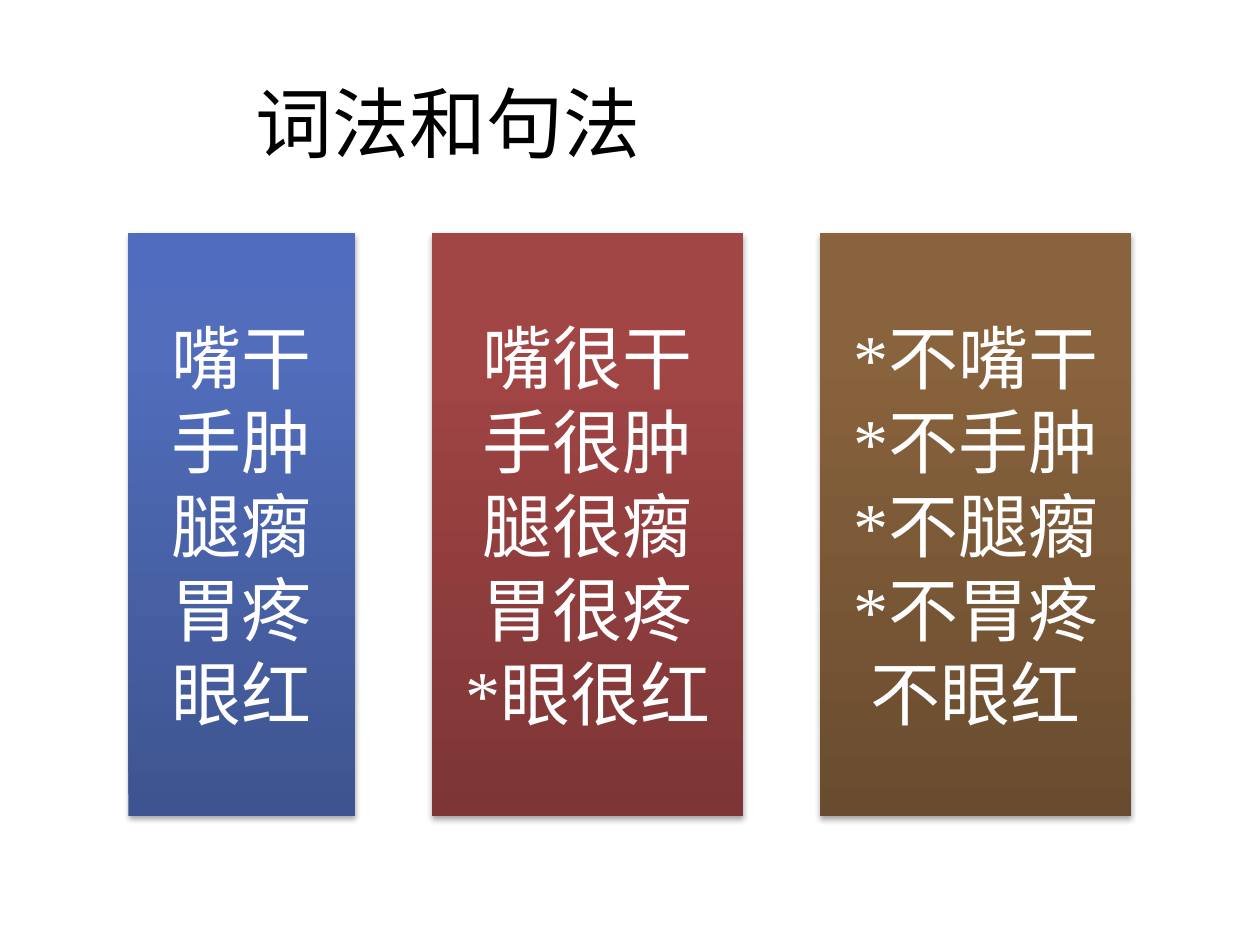
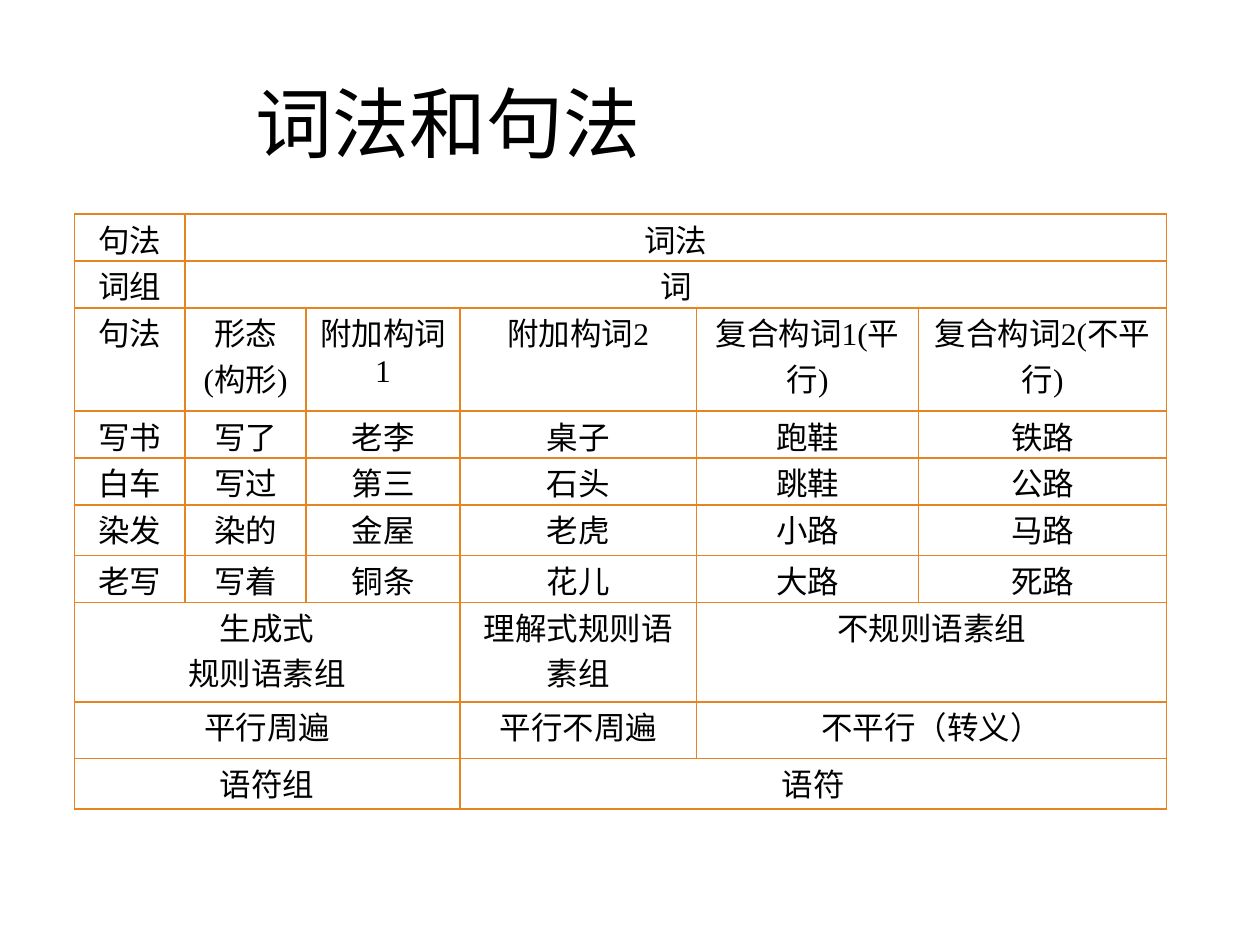
from lxml import etree
from pptx import Presentation
from pptx.dml.color import RGBColor
from pptx.enum.shapes import MSO_SHAPE
from pptx.enum.text import MSO_ANCHOR, MSO_AUTO_SIZE, PP_ALIGN
from pptx.oxml.ns import qn
from pptx.util import Inches, Pt

RECTANGLE = MSO_SHAPE.RECTANGLE
MIDDLE, BOTTOM = MSO_ANCHOR.MIDDLE, MSO_ANCHOR.BOTTOM
LEFT, CENTER = PP_ALIGN.LEFT, PP_ALIGN.CENTER
NO_FIT = MSO_AUTO_SIZE.NONE
TITLE_ONLY = 5

TITLE = "词法和句法"
COLUMN_TOP, COLUMN_HEIGHT, COLUMN_GAP = 1.85, 4.63, 0.61
FIRST_COLUMN_LEFT = 1.02
PHRASE_COLUMNS = [
    (1.8, ["3E5490", "516DBB", "4F6CBE"],
     ["嘴干", "手肿", "腿瘸", "胃疼", "眼红"]),
    (2.47, ["7D3535", "A24545", "A44343"],
     ["嘴很干", "手很肿", "腿很瘸", "胃很疼", "*眼很红"]),
    (2.47, ["694C2F", "89633D", "8B633C"],
     ["*不嘴干", "*不手肿", "*不腿瘸", "*不胃疼", "不眼红"]),
]

GRID_WIDTHS = [0.88, 0.96, 1.22, 1.88, 1.76, 1.97]
GRID_HEIGHTS = [0.31, 0.31, 0.82, 0.34, 0.31, 0.4, 0.35, 0.79, 0.45, 0.4]
GRID_ROWS = [
    ["句法", "词法", None, None, None, None],
    ["词组", "词", None, None, None, None],
    ["句法", "形态(构形)", "附加构词1", "附加构词2", "复合构词1(平行)", "复合构词2(不平行)"],
    ["写书", "写了", "老李", "桌子", "跑鞋", "铁路"],
    ["白车", "写过", "第三", "石头", "跳鞋", "公路"],
    ["染发", "染的", "金屋", "老虎", "小路", "马路"],
    ["老写", "写着", "铜条", "花儿", "大路", "死路"],
    ["生成式\n规则语素组", None, None, "理解式规则语素组", "不规则语素组", None],
    ["平行周遍", None, None, "平行不周遍", "不平行（转义）", None],
    ["语符组", None, None, "语符", None, None],
]


def color(value):
    """Turn a hex string into a colour."""
    return RGBColor.from_string(value)


def apply(target, values):
    """Set every attribute named in a dict of format values."""
    for name, value in values.items():
        setattr(target, name, value)


def add_xml(parent, tag, **attributes):
    """Append a drawing element with its attributes."""
    element = etree.SubElement(parent, qn(tag))
    for name, value in attributes.items():
        element.set(name, str(value))
    return element


class Deck:
    """Hold the shared style and the slide being built."""

    cjk_font, body_font = "Noto Sans CJK SC", "Times New Roman"
    ink, paper, rule = "000000", "FFFFFF", "E68422"
    gradient_stops = (0, 80, 100)
    title_box = {"left": Inches(1.93), "top": Inches(0.44),
                 "width": Inches(6.77), "height": Inches(0.94)}
    title_frame = {"vertical_anchor": BOTTOM, "auto_size": NO_FIT, "word_wrap": True}
    column_frame = {"vertical_anchor": MIDDLE, "word_wrap": True}
    cell_margins = {"margin_left": Inches(0.07), "margin_right": Inches(0.07),
                    "margin_top": Inches(0.01), "margin_bottom": Inches(0)}
    table_flags = {"first_row": False, "horz_banding": False}

    def __init__(self):
        """Start an empty presentation."""
        self.presentation = Presentation()
        apply(self.presentation, {"slide_width": Inches(10), "slide_height": Inches(7.5)})
        self.slide = None

    def set_text(self, frame, text, font, size, ink, **paragraph_format):
        """Fill a text frame, one paragraph a line."""
        frame.text = text
        for paragraph in frame.paragraphs:
            apply(paragraph, paragraph_format)
            for run in paragraph.runs:
                apply(run.font, {"name": font, "size": Pt(size)})
                run.font.color.rgb = color(ink)
                add_xml(run.font._element, "a:ea", typeface=self.cjk_font)

    def add_slide(self, heading):
        """Add a slide and format its title."""
        layout = self.presentation.slide_layouts[TITLE_ONLY]
        self.slide = self.presentation.slides.add_slide(layout)
        title = self.slide.shapes.title
        apply(title, self.title_box)
        apply(title.text_frame, self.title_frame)
        self.set_text(title.text_frame, heading, self.cjk_font, 44, self.ink,
                      alignment=LEFT, line_spacing=Pt(58))

    def add_column(self, left, top, width, height, shades, phrases):
        """Add a shaded block that lists phrases."""
        block = self.slide.shapes.add_shape(
            RECTANGLE, Inches(left), Inches(top), Inches(width), Inches(height))
        self.shade(block, shades)
        block.line.fill.background()
        self.drop_shadow(block)
        apply(block.text_frame, self.column_frame)
        self.set_text(block.text_frame, "\n".join(phrases), self.body_font, 40,
                      self.paper, alignment=CENTER)

    def shade(self, block, shades):
        """Fill a block with a gradient that rises from the bottom."""
        block.fill.gradient()
        block.fill.gradient_angle = 90
        stops = block._element.spPr.find(".//" + qn("a:gsLst"))
        stops.clear()
        for position, shade in zip(self.gradient_stops, shades):
            stop = add_xml(stops, "a:gs", pos=position * 1000)
            add_xml(stop, "a:srgbClr", val=shade)

    def drop_shadow(self, block):
        """Give a block a soft shadow below it."""
        block.shadow.inherit = False
        effects = block._element.spPr.find(qn("a:effectLst"))
        shadow = add_xml(effects, "a:outerShdw", blurRad=Pt(3.1), dist=Pt(1.8),
                         dir=5400000, rotWithShape=0)
        tint = add_xml(shadow, "a:srgbClr", val=self.ink)
        add_xml(tint, "a:alpha", val=35000)

    def add_grid(self, left, top, widths, heights, rows):
        """Add a ruled table where None continues the cell to its left."""
        table = self.slide.shapes.add_table(
            len(rows), len(widths), Inches(left), Inches(top),
            Inches(sum(widths)), Inches(sum(heights))).table
        apply(table, self.table_flags)
        for column, width in zip(table.columns, widths):
            column.width = Inches(width)
        for row, height in zip(table.rows, heights):
            row.height = Inches(height)
        for r, row in enumerate(rows):
            for c, text in enumerate(row):
                cell = table.cell(r, c)
                self.outline(cell)
                if text is None:
                    continue
                end = c
                while end + 1 < len(row) and row[end + 1] is None:
                    end += 1
                if end > c:
                    cell.merge(table.cell(r, end))
                self.set_text(cell.text_frame, text, self.body_font, 18, self.ink,
                              alignment=CENTER)

    def outline(self, cell):
        """Set the margins, borders and empty fill of a cell."""
        apply(cell, self.cell_margins)
        properties = cell._tc.get_or_add_tcPr()
        for side in ("a:lnL", "a:lnR", "a:lnT", "a:lnB"):
            border = add_xml(properties, side, w=Pt(1))
            add_xml(add_xml(border, "a:solidFill"), "a:srgbClr", val=self.rule)
        cell.fill.background()


def main():
    """Build both slides and save them."""
    deck = Deck()
    deck.add_slide(TITLE)
    left = FIRST_COLUMN_LEFT
    for width, shades, phrases in PHRASE_COLUMNS:
        deck.add_column(left, COLUMN_TOP, width, COLUMN_HEIGHT, shades, phrases)
        left += width + COLUMN_GAP
    deck.add_slide(TITLE)
    deck.add_grid(0.59, 1.7, GRID_WIDTHS, GRID_HEIGHTS, GRID_ROWS)
    deck.presentation.save("out.pptx")


if __name__ == "__main__":
    main()
